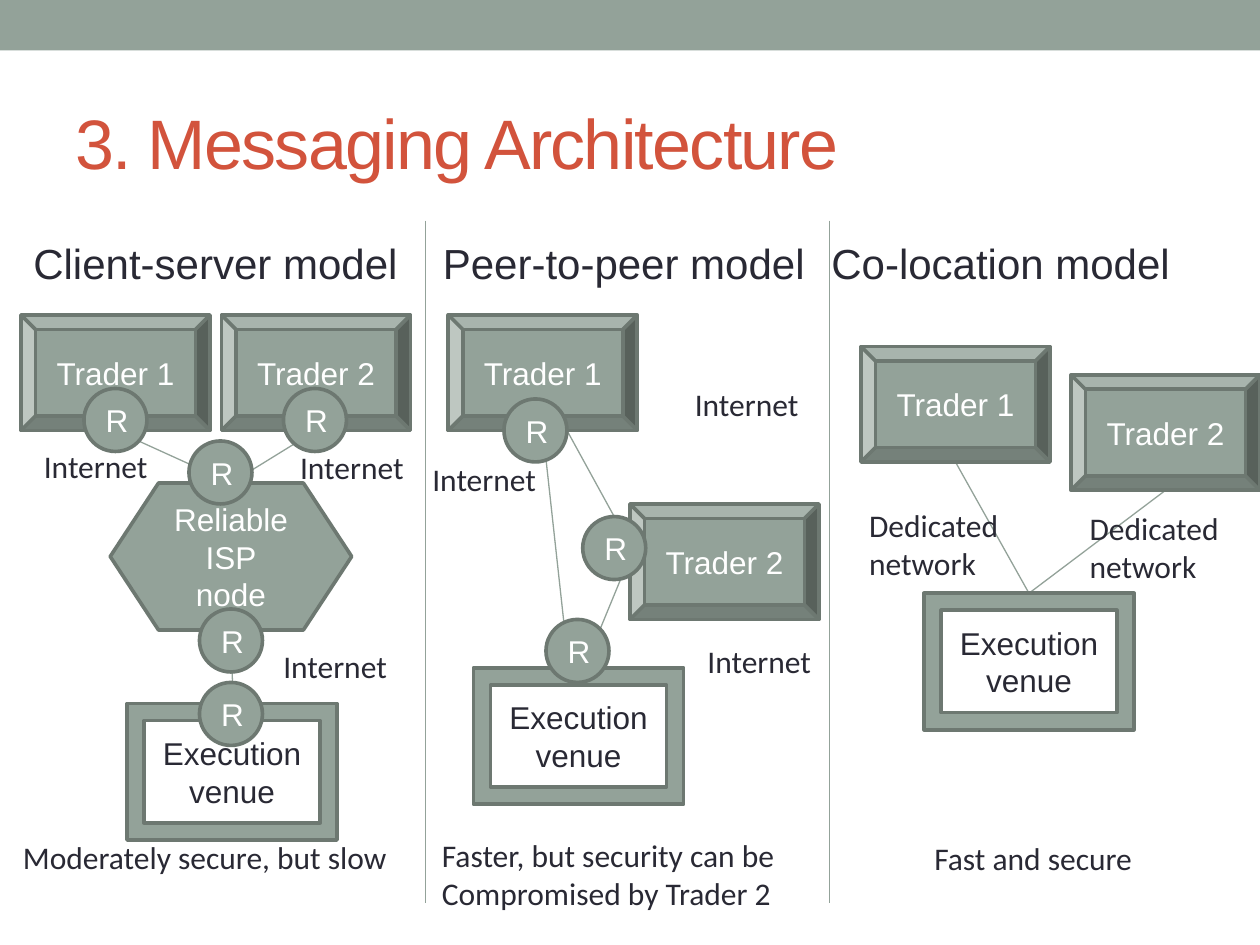
from lxml.etree import SubElement
from pptx import Presentation
from pptx.dml.color import RGBColor
from pptx.enum.shapes import MSO_CONNECTOR as LINE, MSO_SHAPE as SHAPE
from pptx.enum.text import MSO_ANCHOR as ANCHOR, PP_ALIGN as ALIGN
from pptx.oxml.ns import qn
from pptx.util import Inches, Pt

COLS, ROWS = 120, 90
WIDTH, HEIGHT = Inches(10), Inches(7.5)
SAGE, EDGE, INK, WHITE, RUST = "93A299", "6D7871", "292934", "FFFFFF", "D2533C"
BODY = {"name": "Arial", "size": Pt(18)}
NOTE = {"name": "Calibri", "size": Pt(18)}
HEAD = {"name": "Arial", "size": Pt(24)}
TITLE = {"name": "Arial", "size": Pt(40)}
TRADER, VENUE, NODE, ROUTER = (18, 11), (20, 13), (23, 14), (6, 6)
INTERNET, DEDICATED = (12.7, 4.8), (17, 8.5)


def rgb(value):
    return RGBColor.from_string(value)


def grid(box, x, y):
    return int((box[0] + x) * WIDTH / COLS), int((box[1] + y) * HEIGHT / ROWS)


def place(box, at, size):
    return *grid(box, *at), *grid((0, 0), *size)


def write(tf, lines, font, color, align=ALIGN.LEFT, before=0):
    for i, line in enumerate(lines.split("\n")):
        p = tf.paragraphs[0] if i == 0 else tf.add_paragraph()
        p.alignment, p.space_before = align, Pt(before)
        r = p.add_run()
        r.text = line
        for name, value in font.items():
            setattr(r.font, name, value)
        r.font.color.rgb = rgb(color)


def text(s, box, at, size, lines, font=NOTE, color=INK, wrap=False, before=0):
    tf = s.shapes.add_textbox(*place(box, at, size)).text_frame
    tf.word_wrap = wrap
    write(tf, lines, font, color, before=before)
    return tf


def block(s, box, kind, at, size, lines="", color=WHITE):
    sp = s.shapes.add_shape(kind, *place(box, at, size))
    sp.shadow.inherit = False
    sp.fill.solid()
    sp.fill.fore_color.rgb = rgb(SAGE)
    if not lines:
        sp.line.fill.background()
        return
    sp.line.color.rgb = rgb(EDGE)
    sp.line.width = Pt(2.08)
    tf = sp.text_frame
    tf.word_wrap, tf.vertical_anchor = True, ANCHOR.MIDDLE
    write(tf, lines, BODY, color, ALIGN.CENTER)


def link(s, box, start, end):
    c = s.shapes.add_connector(LINE.STRAIGHT, *grid(box, *start), *grid(box, *end))
    c.line.color.rgb = rgb(SAGE)
    c.line.width = Pt(0.75)
    SubElement(c._element.spPr, qn("a:effectLst"))


def header(s, box):
    block(s, box, SHAPE.RECTANGLE, (0, 0), (COLS, 4.8))
    tf = text(s, box, (6, 7), (108, 13), "3. Messaging Architecture", TITLE, RUST, True)
    tf.vertical_anchor = ANCHOR.MIDDLE
    tf.paragraphs[0].runs[0].font._element.set("spc", "-100")


def heading(s, box, x, lines):
    text(s, box, (x, 1), (42, 62), lines, HEAD, wrap=True, before=2)


def parties(s, box, traders, venue, links):
    for start, end in links:
        link(s, box, start, end)
    for i, at in enumerate(traders, 1):
        block(s, box, SHAPE.BEVEL, at, TRADER, f"Trader {i}")
    block(s, box, SHAPE.FRAME, venue, VENUE, "Execution venue", INK)


def labels(s, box, lines, size, spots):
    for at in spots:
        text(s, box, at, size, lines)


def routers(s, box, spots):
    for at in spots:
        block(s, box, SHAPE.OVAL, at, ROUTER, "R")


def client_server(s, box):
    heading(s, box, 2, "Client-server model")
    parties(s, box, [(2, 9), (21.1, 9)], (12.1, 46),
            [((11, 20), (22, 25)), ((30.1, 20), (22, 25)), ((22, 39), (22.2, 46))])
    block(s, box, SHAPE.FLOWCHART_PREPARATION, (10.5, 25), NODE, "Reliable ISP\nnode")
    labels(s, box, "Internet", INTERNET, [(3, 21), (27.4, 21.1), (25.8, 40)])
    text(s, box, (1, 58.2), (40, 4.8), "Moderately secure, but slow")
    routers(s, box, [(8, 16), (27, 16), (18, 21), (19, 37), (19, 44)])


def peer_to_peer(s, box):
    link(s, box, (0, 0), (0, 65))
    heading(s, box, 0.5, "Peer-to-peer model")
    parties(s, box, [(2.2, 9), (19.5, 27)], (4.6, 42.6),
            [((11.2, 20), (13.5, 41)), ((13.5, 20), (18, 28.2)), ((19.3, 32.5), (15.8, 41))])
    labels(s, box, "Internet", INTERNET, [(-0.5, 22.2), (24.5, 15.1), (25.7, 39.6)])
    text(s, box, (0.4, 58), (38.8, 8.5),
         "Faster, but security can be\nCompromised by Trader 2")
    routers(s, box, [(7.5, 17), (15, 28.2), (11.5, 38)])


def co_location(s, box):
    link(s, box, (0, 0), (0, 65))
    heading(s, box, -1, "Co-location model")
    parties(s, box, [(3, 12), (23, 14.7)], (9, 35.5),
            [((12, 23), (19, 35.5)), ((32, 25.7), (19, 35.5))])
    labels(s, box, "Dedicated\nnetwork", DEDICATED, [(2.6, 26.6), (23.6, 26.9)])
    text(s, box, (8.8, 58.3), (24.1, 4.8), "Fast and secure")


def main():
    prs = Presentation()
    prs.slide_width, prs.slide_height = WIDTH, HEIGHT
    s = prs.slides.add_slide(prs.slide_layouts[6])
    header(s, (0, 0))
    for model, left in ((client_server, 0), (peer_to_peer, 40.5), (co_location, 79)):
        model(s, (left, 21))
    prs.save("out.pptx")


if __name__ == "__main__":
    main()
